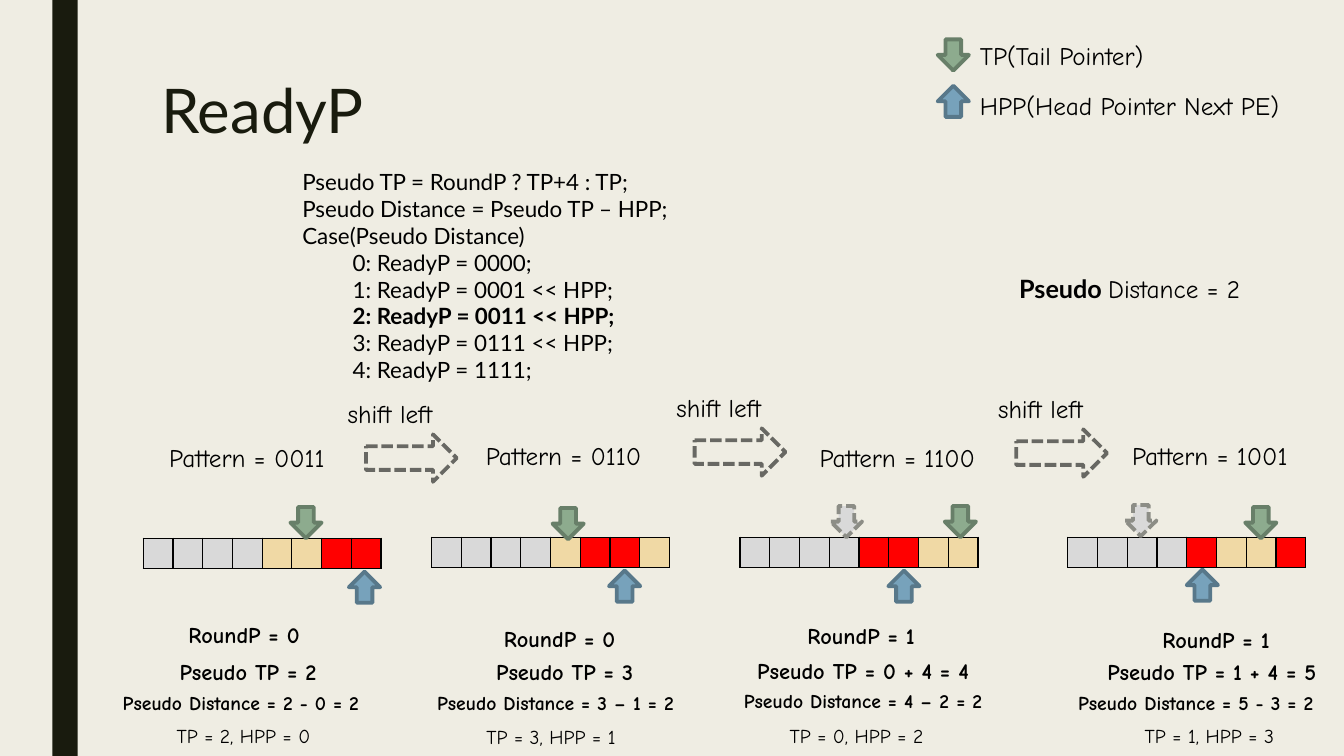
from lxml import etree
from pptx import Presentation
from pptx.dml.color import RGBColor
from pptx.enum.dml import MSO_LINE
from pptx.enum.shapes import MSO_SHAPE as Shape
from pptx.enum.text import MSO_ANCHOR, MSO_AUTO_SIZE, PP_ALIGN
from pptx.oxml.ns import qn
from pptx.util import Inches, Pt

HAND, SANS = "Comic Neue", "Lato"
BLACK, INK, CREAM = "000000", "191B0E", "EFEDE3"
GRAY, SAND, RED = "D9D9D9", "F0D9A5", "FF0000"
CELL, CELL_HEIGHT, ARROW = 0.295, 0.3, 0.31

# kind: fill, line, rotation, dashed
POINTERS = {
    "tail": ("8DAB8E", "687F69", 0, False),
    "head": ("77A2BB", "58788A", 180, False),
    "old tail": (GRAY, "8C8D86", 0, True),
}
LEGEND = [
    ("tail", 0.39, "TP(Tail Pointer)", 0.35, 2.15),
    ("head", 0.85, "HPP(Head Pointer Next PE)", 0.85, 3.49),
]
CODE = [
    "Pseudo TP = RoundP ? TP+4 : TP;",
    "Pseudo Distance = Pseudo TP – HPP;",
    "Case(Pseudo Distance)",
    "\t0: ReadyP = 0000;",
    "\t1: ReadyP = 0001 << HPP;",
    "\t2: ReadyP = 0011 << HPP;",
    "\t3: ReadyP = 0111 << HPP;",
    "\t4: ReadyP = 1111;",
]
ACTIVE_LINE = 5
SHIFTS = [(3.63, 4.31), (6.89, 4.25), (10.08, 4.26)]

# label style: width, height, size, bold, wrap, alignment
LABEL_STYLES = [
    (1.91, 0.4, 18, False, False, PP_ALIGN.LEFT),
    (2.18, 0.37, 16, True, True, PP_ALIGN.CENTER),
    (2.8, 0.37, 16, True, False, PP_ALIGN.CENTER),
    (3.05, 0.34, 14, True, False, PP_ALIGN.CENTER),
    (2.15, 0.34, 14, False, True, PP_ALIGN.CENTER),
]
# queue left and top, colours of the last four cells, pointers, labels (text, left, top)
STAGES = [
    (1.42, 5.34, [SAND, SAND, RED, RED],
     [("tail", 2.88, 5.03), ("head", 3.46, 5.67)],
     [("Pattern = 0011", 1.58, 4.34), ("RoundP = 0", 1.33, 6.11),
      ("Pseudo TP = 2 ", 1.1, 6.48),
      ("Pseudo Distance = 2 - 0 = 2 ", 0.9, 6.81),
      ("TP = 2, HPP = 0", 1.34, 7.13)]),
    (4.28, 5.33, [SAND, RED, RED, SAND],
     [("tail", 5.48, 5.04), ("head", 6.04, 5.66)],
     [("Pattern = 0110", 4.72, 4.32), ("RoundP = 0", 4.46, 6.15),
      ("Pseudo TP = 3 ", 4.24, 6.48),
      ("Pseudo Distance = 3 – 1 = 2 ", 4.02, 6.81),
      ("TP = 3, HPP = 1", 4.39, 7.14)]),
    (7.34, 5.33, [RED, RED, SAND, SAND],
     [("tail", 9.37, 5.02), ("head", 8.81, 5.66), ("old tail", 8.24, 5.02)],
     [("Pattern = 1100", 8.03, 4.34), ("RoundP = 1", 7.45, 6.12),
      ("Pseudo TP = 0 + 4 = 4 ", 7.2, 6.47),
      ("Pseudo Distance = 4 – 2 = 2 ", 7.07, 6.79),
      ("TP = 0, HPP = 2", 7.42, 7.13)]),
    (10.59, 5.33, [RED, SAND, SAND, RED],
     [("tail", 12.35, 5.03), ("head", 11.77, 5.65), ("old tail", 11.16, 5.01)],
     [("Pattern = 1001", 11.13, 4.32), ("RoundP = 1", 10.97, 6.16),
      ("Pseudo TP = 1 + 4 = 5 ", 10.66, 6.48),
      ("Pseudo Distance = 5 - 3 = 2 ", 10.37, 6.81),
      ("TP = 1, HPP = 3", 10.92, 7.13)]),
]


def rgb(value):
    return RGBColor.from_string(value)


def style(font, size, name=HAND, bold=False, color=BLACK):
    font.size, font.name, font.bold = Pt(size), name, bold
    font.color.rgb = rgb(color)


def add_label(page, text, left, top, width, height, size=18, bold=False,
              wrap=True, align=PP_ALIGN.LEFT):
    box = page.shapes.add_textbox(*map(Inches, (left, top, width, height)))
    frame = box.text_frame
    frame.word_wrap = wrap
    frame.auto_size = MSO_AUTO_SIZE.SHAPE_TO_FIT_TEXT
    frame.text = text
    para = frame.paragraphs[0]
    para.alignment = align
    for span in para.runs:
        style(span.font, size, bold=bold)
    return frame


def add_figure(page, kind, left, top, width, height, fill=None, line=None, dashed=False):
    figure = page.shapes.add_shape(kind, *map(Inches, (left, top, width, height)))
    figure.shadow.inherit = False
    if fill:
        figure.fill.solid()
        figure.fill.fore_color.rgb = rgb(fill)
    else:
        figure.fill.background()
    if line:
        figure.line.color.rgb = rgb(line)
        figure.line.width = Pt(2.75)
        if dashed:
            figure.line.dash_style = MSO_LINE.SQUARE_DOT
            figure.line._ln.find(qn("a:prstDash")).set("val", "sysDash")
    else:
        figure.line.fill.background()
    return figure


def add_pointer(page, kind, left, top):
    fill, line, rotation, dashed = POINTERS[kind]
    add_figure(page, Shape.DOWN_ARROW, left, top, ARROW, ARROW, fill, line,
               dashed).rotation = rotation


def outline_cell(cell):
    properties = cell._tc.get_or_add_tcPr()
    for index, side in enumerate(("lnL", "lnR", "lnT", "lnB")):
        border = etree.Element(qn(f"a:{side}"), w=str(Pt(1)))
        fill = etree.SubElement(border, qn("a:solidFill"))
        etree.SubElement(fill, qn("a:srgbClr"), val=BLACK)
        properties.insert(index, border)


def add_cells(page, left, top, colors):
    size = (left, top, CELL * len(colors), CELL_HEIGHT)
    table = page.shapes.add_table(1, len(colors), *map(Inches, size)).table
    for column, cell, color in zip(table.columns, table.rows[0].cells, colors):
        column.width = Inches(CELL)
        cell.margin_left = cell.margin_right = cell.margin_top = cell.margin_bottom = 0
        cell.text_frame.paragraphs[0].font.size = Pt(10)
        cell.fill.solid()
        cell.fill.fore_color.rgb = rgb(color)
        outline_cell(cell)


def add_code(page):
    frame = add_label(page, "\n".join(CODE), 2.9, 1.62, 6.72, 2.26)
    for number, para in enumerate(frame.paragraphs):
        tabs = etree.SubElement(para._p.get_or_add_pPr(), qn("a:tabLst"))
        etree.SubElement(tabs, qn("a:tab"), pos=str(Inches(0.5)), algn="l")
        for span in para.runs:
            style(span.font, 16, SANS, number == ACTIVE_LINE)


def add_title(page):
    title = page.shapes.title
    title.left, title.top, title.width, title.height = map(Inches, (1.5, 0.75, 10.5, 1.62))
    frame = title.text_frame
    frame.text = "ReadyP"
    frame.vertical_anchor = MSO_ANCHOR.TOP
    para = frame.paragraphs[0]
    para.alignment = PP_ALIGN.LEFT
    para.line_spacing = 0.89
    style(para.runs[0].font, 44, SANS, color=INK)


def main():
    deck = Presentation()
    deck.slide_width, deck.slide_height = Inches(13.33), Inches(7.5)
    page = deck.slides.add_slide(deck.slide_layouts[5])
    page.background.fill.solid()
    page.background.fill.fore_color.rgb = rgb(CREAM)
    add_figure(page, Shape.RECTANGLE, 0.52, 0, 0.25, 7.5, INK)
    add_title(page)

    for kind, arrow_top, text, text_top, width in LEGEND:
        add_pointer(page, kind, 9.3, arrow_top)
        add_label(page, text, 9.62, text_top, width, 0.4)
    add_code(page)

    distance = add_label(page, "Pseudo ", 10.01, 2.66, 2.52, 0.4, wrap=False).paragraphs[0]
    style(distance.runs[0].font, 18, SANS, True)
    span = distance.add_run()
    span.text = "Distance = 2"
    style(span.font, 18)

    for left, top, colors, pointers, labels in STAGES:
        add_cells(page, left, top, [GRAY] * 4)
        add_cells(page, left + 4 * CELL, top, colors)
        for pointer in pointers:
            add_pointer(page, *pointer)
        for label, label_style in zip(labels, LABEL_STYLES):
            add_label(page, *label, *label_style)

    for left, top in SHIFTS:
        add_figure(page, Shape.RIGHT_ARROW, left, top, 0.9, 0.47, line="686863", dashed=True)
        add_label(page, "shift left", left - 0.28, top - 0.41, 1.32, 0.4, wrap=False)
    deck.save("out.pptx")


if __name__ == "__main__":
    main()
